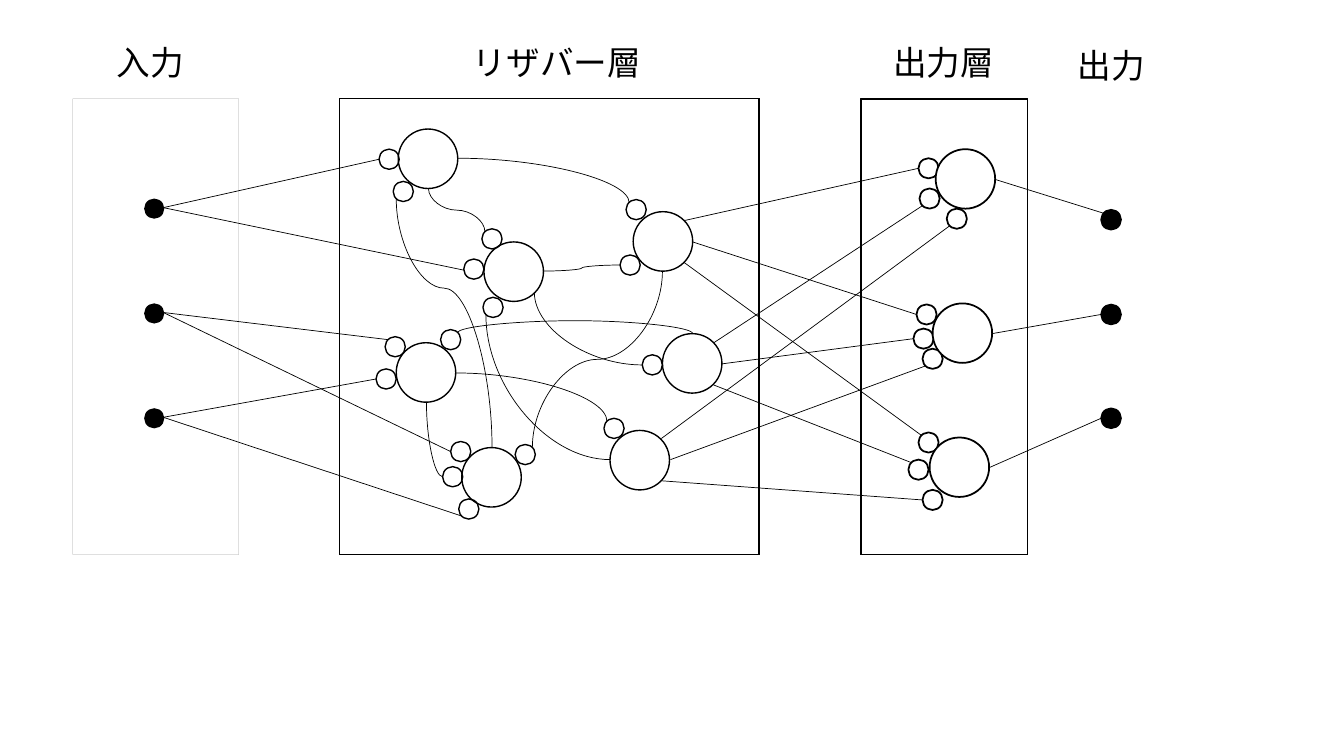
from lxml.etree import SubElement
from pptx import Presentation
from pptx.dml.color import RGBColor
from pptx.enum.shapes import MSO_CONNECTOR as Link, MSO_SHAPE as Shape
from pptx.enum.text import MSO_AUTO_SIZE as AutoSize
from pptx.oxml.ns import qn
from pptx.util import Inches, Pt

BLACK = RGBColor(0, 0, 0)
WHITE = RGBColor(255, 255, 255)


class Diagram:
    """Draws on a grid whose columns and rows are a tenth of an inch."""
    font = "Noto Sans CJK JP"
    cell = 0.1
    neuron_size, dot_size = 5.9, 2
    link_width = 0.5

    def __init__(self, slide):
        self.shapes = slide.shapes

    def grid(self, *cells):
        return [Inches(n * self.cell) for n in cells]

    def shape(self, kind, col, row, width, height, fill=None, line=None):
        part = self.shapes.add_shape(kind, *self.grid(col, row, width, height))
        part.shadow.inherit = False
        if fill is None:
            part.fill.background()
        else:
            part.fill.solid()
            part.fill.fore_color.rgb = fill
        if line is None:
            part.line.fill.background()
        else:
            part.line.color.rgb = BLACK
            part.line.width = Pt(line)
        return part

    def layer(self, col, width, line=None):
        frame = self.shape(Shape.FRAME, col, 9.8, width, 45.2, BLACK, line)
        frame.adjustments[0] = 0

    def neuron(self, col, row, line):
        self.shape(Shape.FLOWCHART_CONNECTOR, col, row,
                   self.neuron_size, self.neuron_size, WHITE, line)

    def dot(self, col, row, fill=None, line=None):
        self.shape(Shape.OVAL, col, row, self.dot_size, self.dot_size, fill, line)

    def link(self, start, end, kind=Link.STRAIGHT):
        link = self.shapes.add_connector(kind, *self.grid(*start, *end))
        link.line.color.rgb = BLACK
        link.line.width = Pt(self.link_width)
        SubElement(link.element.spPr, qn("a:effectLst"))
        return link

    def curve(self, start, end, vertical=False, bend=None):
        """Leaves start sideways or vertically; bend is the turn's share of the way."""
        rotation = 0
        if vertical:
            # A vertical start is a sideways curve turned about its centre
            (x1, y1), (x2, y2) = start, end
            mid_x, mid_y = (x1 + x2) / 2, (y1 + y2) / 2
            half_w, half_h = abs(y2 - y1) / 2, abs(x2 - x1) / 2
            if (x2 > x1) == (y2 > y1):
                half_h = -half_h
            rotation = 90 if y2 > y1 else 270
            start = mid_x - half_w, mid_y - half_h
            end = mid_x + half_w, mid_y + half_h
        props = self.link(start, end, Link.CURVE).element.spPr
        if rotation:
            props.find(qn("a:xfrm")).set("rot", str(rotation * 60000))
        geometry = props.find(qn("a:prstGeom"))
        if bend is None:
            geometry.set("prst", "curvedConnector2")
        else:
            SubElement(geometry.find(qn("a:avLst")), qn("a:gd"),
                       name="adj1", fmla=f"val {round(bend * 100000)}")

    def label(self, text, col, row, width, inset=1.7, wrap=True):
        frame = self.shapes.add_textbox(*self.grid(col, row, width, 5)).text_frame
        frame_format = {"word_wrap": wrap, "auto_size": AutoSize.SHAPE_TO_FIT_TEXT,
                        "margin_left": Inches(inset * self.cell)}
        for name, value in frame_format.items():
            setattr(frame, name, value)
        run = frame.paragraphs[0].add_run()
        run.text = text
        for name, value in {"name": self.font, "size": Pt(24)}.items():
            setattr(run.font, name, value)
        run.font.color.rgb = BLACK
        SubElement(run.font._element, qn("a:ea"), typeface=self.font)


RESERVOIR_LINE, OUTPUT_LINE = 1, 1.25
INPUT_ROWS = [19.7 + 10.4 * i for i in range(3)]
OUTPUT_ROWS = [20.8, 30.2, 40.5]

RESERVOIR_NEURONS = [(39.5, 12.8), (62.8, 21), (39.3, 34), (60.5, 42.7),
                     (48, 24), (45.8, 44.4), (65.7, 33.1)]
RESERVOIR_SYNAPSES = [
    (37.6, 14.8), (39, 18), (47.8, 22.7), (62.1, 19.8), (61.5, 25.3), (38.2, 33.4),
    (37.3, 36.6), (46, 25.7), (43.7, 32.7), (44.7, 43.8), (43.9, 46.3), (45.5, 49.5),
    (63.7, 35.2), (47.9, 29.5), (51.1, 44.1), (59.9, 41.5)]
OUTPUT_NEURONS = [(92.8, 14.8), (92.5, 30.1), (92.2, 43.4)]
OUTPUT_SYNAPSES = [(91.1, 15.7), (91.2, 18.7), (93.9, 20.7),
                   (90.9, 30.2), (90.6, 32.6), (91.5, 34.6),
                   (91.1, 42.9), (90.1, 45.6), (91.5, 48.6)]

# Start, end, vertical start, bend
RECURRENT_LINKS = [
    ((42.5, 18.7), (48.1, 23), True, 0.5),
    ((42.3, 39.9), (43.9, 47.3), True, None),
    ((60.5, 45.6), (48.2, 31.2), False, None),
    ((53.9, 26.9), (61.5, 26.3), False, 0.5),
    ((45.2, 37), (60.2, 41.8), False, None),
    ((48.8, 44.4), (39.3, 19.7), True, 0.64),
    ((45.4, 15.7), (62.4, 20.1), False, None),
    ((53, 29), (63.7, 36.2), True, None),
    ((65.7, 26.9), (52.8, 44.4), True, 0.5),
    ((68.7, 33.1), (45.4, 33), True, 13),
]
INPUT_TARGETS = [[(37.6, 15.8), (46, 26.8)],
                 [(38.5, 33.7), (44.7, 44.8)],
                 [(45.8, 51.2), (37.3, 37.6)]]
READOUT_LINKS = [
    ((67.8, 21.9), (91.1, 16.7)), ((68.7, 24), (90.9, 31.2)), ((67.8, 26), (91.4, 43.2)),
    ((70.8, 34), (91.5, 20.4)), ((71.6, 36.1), (90.6, 33.6)), ((70.8, 38.2), (90.4, 45.9)),
    ((65.6, 43.5), (94.2, 22.4)), ((66.5, 45.6), (91.8, 36.3)), ((65.6, 47.7), (91.5, 49.6))]
RESULT_LINKS = [((98.7, 17.8), (111.2, 21.7)), ((98.4, 33.1), (109.2, 31.2)),
                ((98.1, 46.4), (109.2, 41.5))]


def main():
    deck = Presentation()
    deck.slide_width, deck.slide_height = Inches(13.33), Inches(7.5)
    diagram = Diagram(deck.slides.add_slide(deck.slide_layouts[6]))

    # Layers
    diagram.layer(7.2, 16.5)
    diagram.layer(33.7, 41.6, RESERVOIR_LINE)
    diagram.layer(85.4, 16.5, OUTPUT_LINE)

    # Reservoir neurons and the links among them
    for place in RESERVOIR_NEURONS:
        diagram.neuron(*place, RESERVOIR_LINE)
    for recurrent in RECURRENT_LINKS:
        diagram.curve(*recurrent)

    # Inputs to reservoir, reservoir to output layer
    for row, targets in zip(INPUT_ROWS, INPUT_TARGETS):
        for target in targets:
            diagram.link((16.2, row + 0.9), target)
    for start, end in READOUT_LINKS:
        diagram.link(start, end)

    # Input and output dots
    for row in INPUT_ROWS:
        diagram.dot(14.3, row, BLACK)
    for row in OUTPUT_ROWS:
        diagram.dot(109.2, row, BLACK, RESERVOIR_LINE)

    # Synapses, then output neurons above them
    for place in RESERVOIR_SYNAPSES:
        diagram.dot(*place, line=RESERVOIR_LINE)
    for place in OUTPUT_SYNAPSES:
        diagram.dot(*place, line=OUTPUT_LINE)
    for place in OUTPUT_NEURONS:
        diagram.neuron(*place, OUTPUT_LINE)
    for start, end in RESULT_LINKS:
        diagram.link(start, end)

    # Labels
    diagram.label("入力", 9.9, 3.7, 10.4)
    diagram.label("リザバー層", 45.2, 3.7, 19.7)
    diagram.label("出力層", 87.6, 3.7, 12.1, inset=1, wrap=False)
    diagram.label("出力", 105.2, 4, 10)

    deck.save("out.pptx")


if __name__ == "__main__":
    main()
